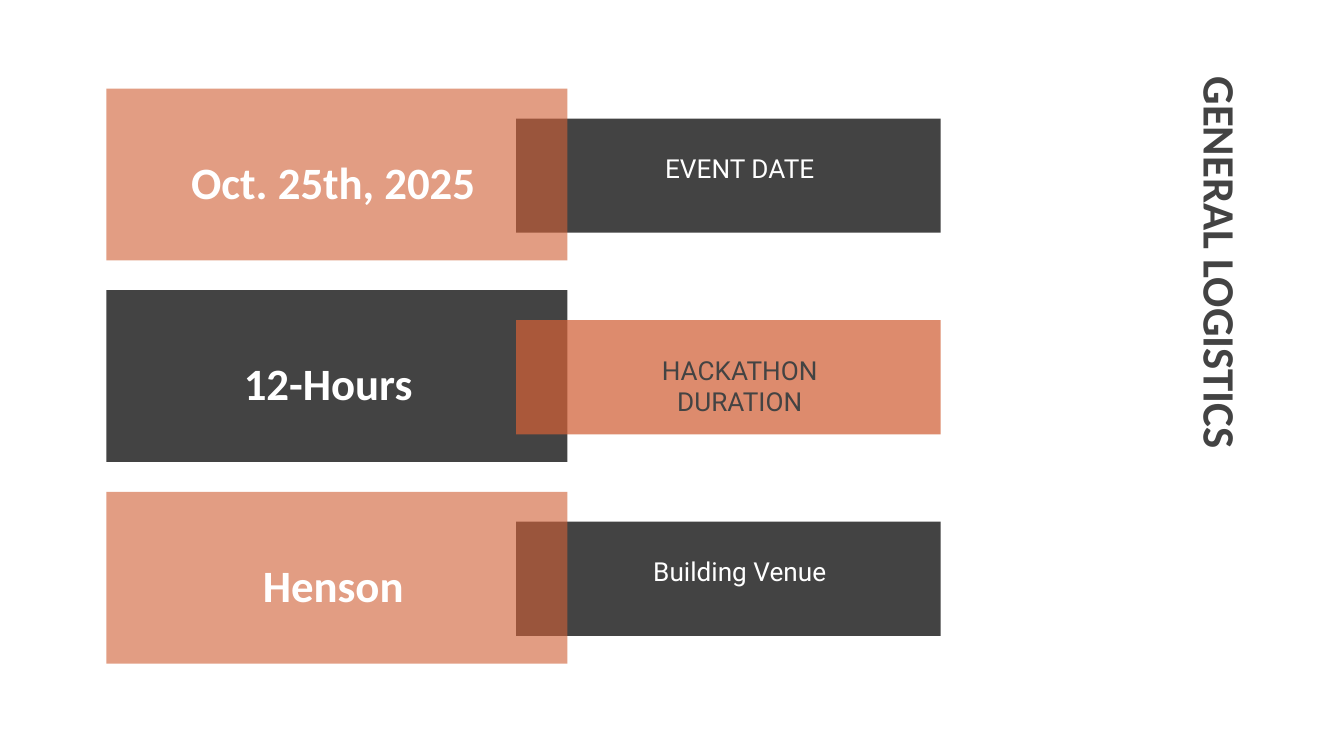
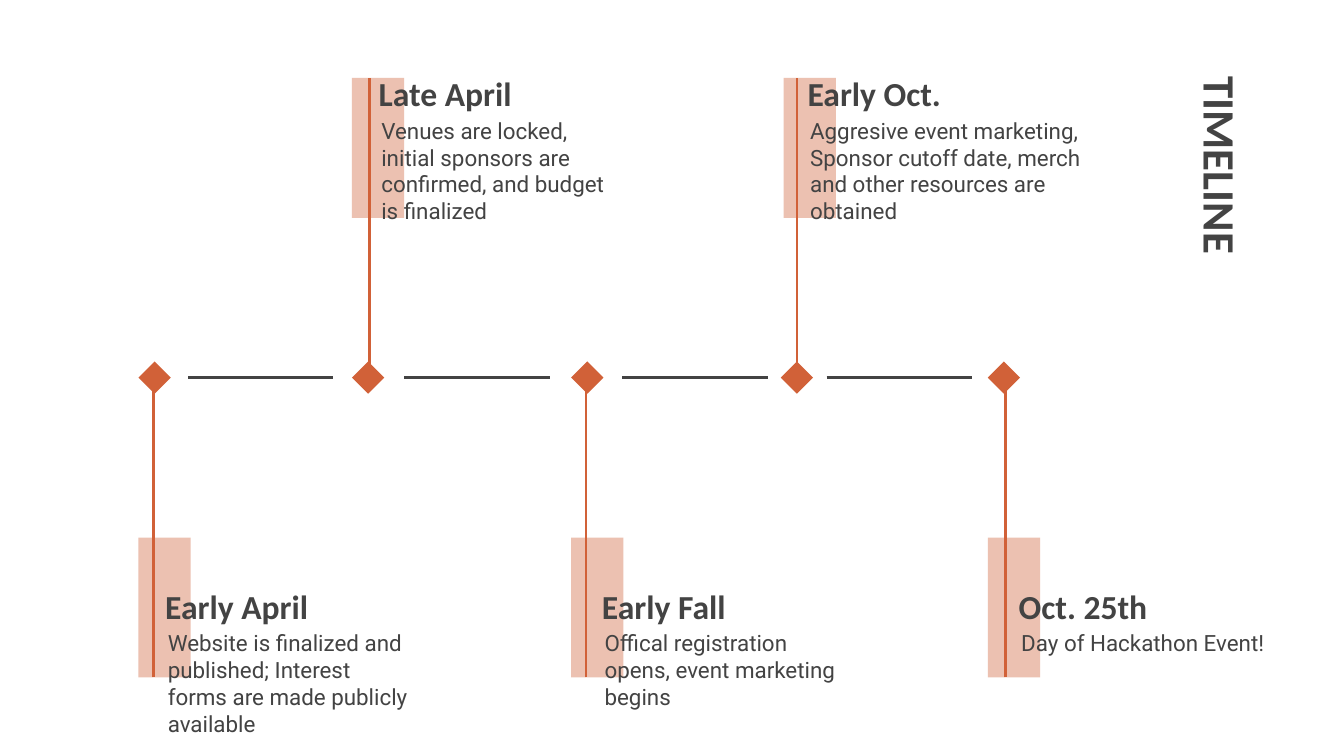
"""Build the general logistics and timeline slides of a hackathon deck."""
from dataclasses import dataclass

import pptx
import pptx.dml.color
import pptx.enum.shapes
import pptx.enum.text
import pptx.oxml.ns
import pptx.util
from lxml import etree

Pt = pptx.util.Pt
RGBColor = pptx.dml.color.RGBColor
Shape = pptx.enum.shapes.MSO_SHAPE
Align = pptx.enum.text.PP_ALIGN

CHARCOAL = RGBColor(0x43, 0x43, 0x43)
RUST = RGBColor(0xD1, 0x61, 0x38)
PEACH = RGBColor(0xDF, 0x95, 0x7A)
WHITE = RGBColor(0xFF, 0xFF, 0xFF)
HEADING_FONT = "Calibri"
BODY_FONT = "Roboto"

FACTS = [
    ("Oct. 25th, 2025", "EVENT DATE"),
    ("12-Hours ", "HACKATHON DURATION"),
    ("Henson", "Building Venue"),
]
FACT_TOP, FACT_PITCH = 47.5, 108

AXIS_Y = 202.3
DIAMOND = 17.3
DASH_STARTS = [100.8, 216.7, 333.4, 442.8]
DASH_LENGTH = 77.8


@dataclass
class Milestone:
    """One dated step of the timeline, with its horizontal places."""
    date: str
    detail: str
    diamond: float
    band: float
    stem: float
    text: float
    date_width: float
    detail_width: float = 145.4


@dataclass
class Side:
    """Vertical places of the milestones on one side of the axis."""
    band_top: float
    stem_from: float
    stem_to: float
    date_top: float
    date_height: float
    detail_top: float
    detail_height: float


ABOVE = Side(41.8, 207.4, 41.8, 31.7, 35.3, 55.4, 53.3)
BELOW = Side(288, 362.9, 203, 306.7, 33.1, 329.8, 50.4)

MILESTONES = [
    Milestone("Early April",
              "Website is finalized and published; Interest forms are made publicly available",
              74.2, 74.2, 82.1, 81.4, 114.5),
    Milestone("Late April",
              "Venues are locked, initial sponsors are confirmed, and budget is finalized",
              188.6, 188.6, 198, 195.8, 100.8),
    Milestone("Early Fall",
              "Offical registration opens, event marketing begins",
              306, 306, 313.9, 315.4, 98.6),
    Milestone("Early Oct.",
              "Aggresive event marketing, Sponsor cutoff date, merch and other resources are obtained",
              418.3, 419.8, 427, 425.5, 114.5, 170),
    Milestone("Oct. 25th", "Day of Hackathon Event!",
              529.2, 529.2, 538.6, 538.6, 102.2),
]


def write(shape, text, size, font_name, color, bold=False, align=Align.LEFT):
    """Fill a shape's text frame with one formatted paragraph."""
    frame = shape.text_frame
    frame.word_wrap = True
    frame.auto_size = pptx.enum.text.MSO_AUTO_SIZE.NONE
    frame.vertical_anchor = pptx.enum.text.MSO_ANCHOR.TOP
    frame.margin_left = frame.margin_right = Pt(7.2)
    frame.margin_top = frame.margin_bottom = Pt(7.2)
    frame.text = text
    paragraph = frame.paragraphs[0]
    paragraph.alignment = align
    font = paragraph.runs[0].font
    font.size, font.name, font.bold = Pt(size), font_name, bold
    font.color.rgb = color


def add_text(slide, box, text, size, font_name, color, **style):
    """Add a text box at box, given as left, top, width, height."""
    write(slide.shapes.add_textbox(*map(Pt, box)), text, size, font_name, color, **style)


def add_block(slide, box, color, opacity=100, kind=Shape.RECTANGLE):
    """Add a plain filled shape with an opacity in percent."""
    block = slide.shapes.add_shape(kind, *map(Pt, box))
    block.shadow.inherit = False
    block.line.fill.background()
    block.fill.solid()
    block.fill.fore_color.rgb = color
    if opacity < 100:
        fill_color = block.element.spPr.find(".//" + pptx.oxml.ns.qn("a:srgbClr"))
        etree.SubElement(fill_color, pptx.oxml.ns.qn("a:alpha"), val=str(opacity * 1000))


def add_line(slide, start, end, color):
    """Add a straight line between two points."""
    line = slide.shapes.add_connector(
        pptx.enum.shapes.MSO_CONNECTOR.STRAIGHT, *map(Pt, start + end))
    line.line.color.rgb = color
    line.line.width = Pt(1.5)
    etree.SubElement(line.element.spPr, pptx.oxml.ns.qn("a:effectLst"))


def add_titled_slide(deck, heading):
    """Add a slide with its title turned to read down the right side."""
    slide = deck.slides.add_slide(deck.slide_layouts[5])
    title = slide.shapes.title
    title.left, title.top, title.width, title.height = map(Pt, (519.8, 151.9, 274.3, 38.2))
    title.rotation = 90
    write(title, heading, 24, HEADING_FONT, CHARCOAL, bold=True)
    return slide


def add_fact(slide, top, value, label, inverted):
    """Add a large value block overlapped by its label block."""
    value_box = (57, top, 247, 92)
    label_box = (276.5, top + 16, 227.5, 61.2)
    if inverted:
        add_block(slide, value_box, CHARCOAL)
        add_block(slide, label_box, RUST, 73)
    else:
        add_block(slide, label_box, CHARCOAL)
        add_block(slide, value_box, RUST, 62)
    add_text(slide, (67, top + 28, 223, 38.2), value, 24, HEADING_FONT, WHITE,
             bold=True, align=Align.CENTER)
    add_text(slide, (314.6, top + 27, 163.5, 38.2), label, 14, BODY_FONT,
             CHARCOAL if inverted else WHITE, align=Align.CENTER)


def add_milestone(slide, step, side):
    """Add a milestone's band, stem, diamond and texts."""
    add_block(slide, (step.band, side.band_top, 28, 75), PEACH, 58)
    add_line(slide, (step.stem, side.stem_from), (step.stem, side.stem_to), RUST)
    add_block(slide, (step.diamond, AXIS_Y - DIAMOND / 2, DIAMOND, DIAMOND), RUST,
              kind=Shape.DIAMOND)
    add_text(slide, (step.text + 1.4, side.detail_top, step.detail_width, side.detail_height),
             step.detail, 12, BODY_FONT, CHARCOAL)
    add_text(slide, (step.text, side.date_top, step.date_width, side.date_height),
             step.date, 18, HEADING_FONT, CHARCOAL, bold=True)


def main():
    """Build and save the deck."""
    deck = pptx.Presentation()
    deck.slide_width, deck.slide_height = Pt(720), Pt(405)

    logistics = add_titled_slide(deck, "GENERAL LOGISTICS")
    for row, (value, label) in enumerate(FACTS):
        add_fact(logistics, FACT_TOP + row * FACT_PITCH, value, label, row % 2 == 1)

    timeline = add_titled_slide(deck, "TIMELINE")
    for start in DASH_STARTS:
        add_line(timeline, (start, AXIS_Y), (start + DASH_LENGTH, AXIS_Y), CHARCOAL)
    for index, step in enumerate(MILESTONES):
        add_milestone(timeline, step, ABOVE if index % 2 else BELOW)

    deck.save("out.pptx")


if __name__ == "__main__":
    main()
